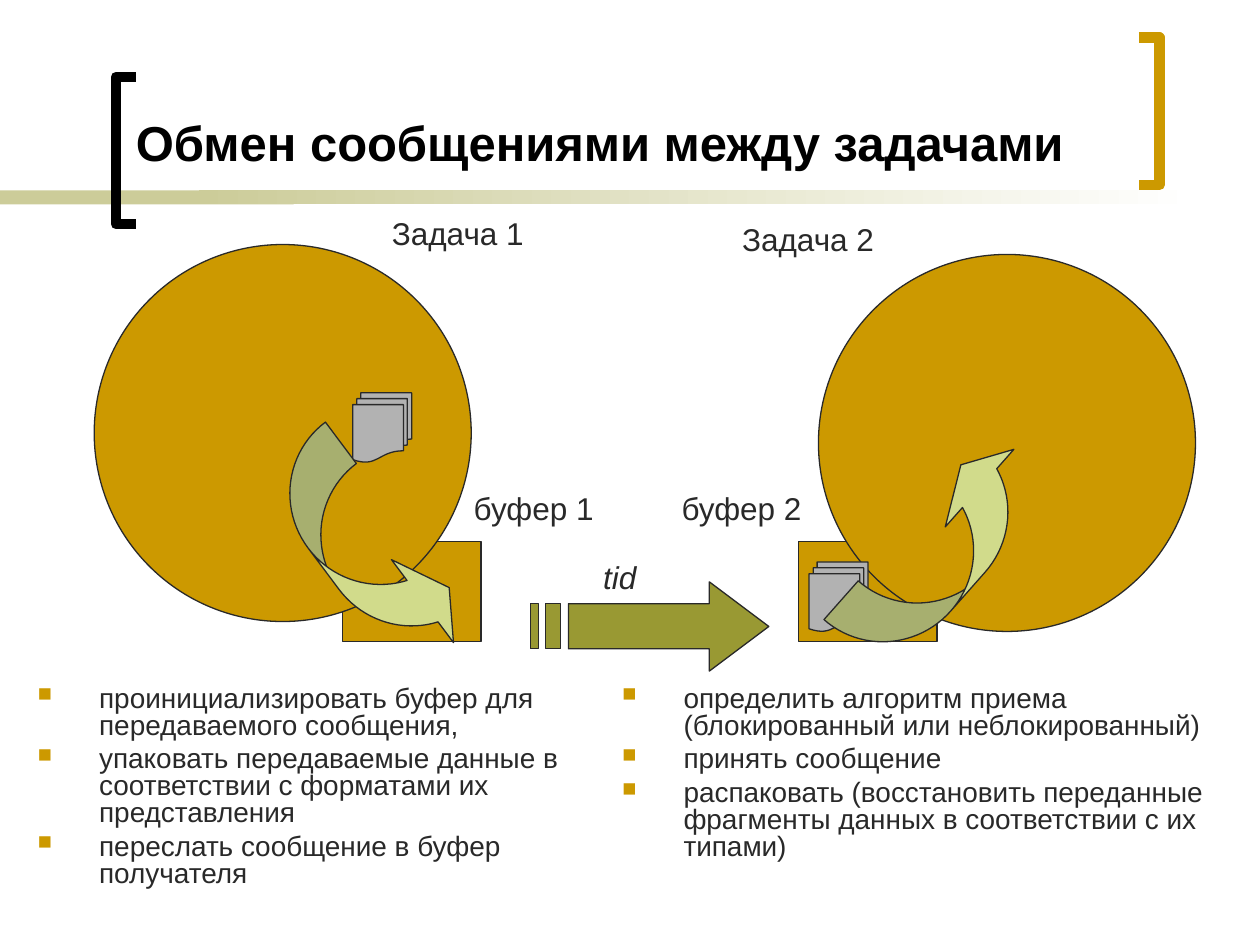
from dataclasses import dataclass

from lxml.etree import SubElement
from pptx import Presentation
from pptx.dml.color import RGBColor
from pptx.enum.shapes import MSO_SHAPE as Kind
from pptx.enum.text import MSO_ANCHOR as Anchor, MSO_AUTO_SIZE as Fit
from pptx.oxml.ns import qn
from pptx.shapes.autoshape import Shape
from pptx.slide import Slide
from pptx.text.text import TextFrame, _Paragraph as Para
from pptx.util import Cm, Pt

FONT = "Arial"
INK, GOLD, SAND = "292929", "CC9900", "CCCC99"
OLIVE, LIME, GREY = "999933", "D1DB8B", "B2B2B2"
BLACK, WHITE = "000000", "FFFFFF"


@dataclass
class Box:
    x: float
    y: float
    w: float
    h: float

    def cm(self) -> tuple:
        return Cm(self.x), Cm(self.y), Cm(self.w), Cm(self.h)


@dataclass
class Item:
    kind: Kind
    box: Box
    fill: str
    turn: float = 0
    adj: tuple = ()


@dataclass
class Label:
    text: str
    box: Box
    slant: bool = False


@dataclass
class Steps:
    box: Box
    lines: tuple


BUFS = [Item(Kind.RECTANGLE, Box(x, 10.92, 2.79, 2.01), GOLD) for x in (16.1, 6.91)]
TASKS = [Item(Kind.OVAL, Box(x, y, 7.6, 7.6), GOLD) for x, y in ((1.9, 4.93), (16.5, 5.13))]
DOCS = [Item(Kind.FLOWCHART_MULTIDOCUMENT, Box(x, y, 1.19, 1.4), GREY)
        for x, y in ((7.11, 7.92), (16.31, 11.33))]
BENDS = [Item(Kind.CURVED_RIGHT_ARROW, Box(x, 8.53, 1.8, 5.21), LIME, turn, (0.58, 1.16, 0.33))
         for x, turn in ((6.5, 323.2), (18.11, 221.5))]

LABELS = [
    Label("Задача 1", Box(7.65, 4.19, 3.18, 1.02)),
    Label("Задача 2", Box(14.71, 4.32, 3.18, 1.02)),
    Label("буфер 1", Box(9.3, 9.73, 2.95, 1.02)),
    Label("буфер 2", Box(13.49, 9.73, 2.95, 1.02)),
    Label("tid", Box(11.91, 11.13, 1.17, 1.02), True),
]

STEPS = [
    Steps(Box(0.51, 13.72, 11.2, 4.83), (
        "проинициализировать буфер для передаваемого сообщения,",
        "упаковать передаваемые данные в соответствии с форматами их представления",
        "переслать сообщение в буфер получателя",
    )),
    Steps(Box(12.29, 13.72, 12.6, 4.8), (
        "определить алгоритм приема (блокированный или неблокированный)",
        "принять сообщение",
        "распаковать (восстановить переданные фрагменты данных в соответствии с их типами)",
    )),
]


def color(code: str) -> RGBColor:
    return RGBColor.from_string(code)


def paint(shape: Shape, fill: str) -> None:
    shape.shadow.inherit = False
    shape.fill.solid()
    shape.fill.fore_color.rgb = color(fill)
    shape.line.color.rgb = color(INK)
    shape.line.width = Pt(0.75)


def draw(slide: Slide, item: Item) -> None:
    shape = slide.shapes.add_shape(item.kind, *item.box.cm())
    paint(shape, item.fill)
    shape.rotation = item.turn
    for i, part in enumerate(item.adj):
        shape.adjustments[i] = part


def outline(slide: Slide, *loops: list, close: bool = True) -> Shape:
    """Make one freeform from one or more point lists in cm."""
    pts = [[(Cm(x), Cm(y)) for x, y in loop] for loop in loops]
    form = slide.shapes.build_freeform(*pts[0][0])
    for i, loop in enumerate(pts):
        if i:
            form.move_to(*loop[0])
        form.add_line_segments(loop[1:], close=close)
    return form.convert_to_shape()


def bracket(slide: Slide, tip: float, back: float, top: float, code: str) -> None:
    low = top + 2.97
    shape = outline(slide, [(tip, top), (back, top), (back, low), (tip, low)], close=False)
    shape.shadow.inherit = False
    shape.fill.background()
    shape.line.color.rgb = color(code)
    shape.line.width = Pt(6)


def band(slide: Slide) -> None:
    """Draw the rule under the title: a flat part, then a fade to white."""
    flat, fade = (slide.shapes.add_shape(Kind.RECTANGLE, *Box(x, 3.84, w, 0.28).cm())
                  for x, w in ((0, 5.92), (4.01, 20.12)))
    for bar in (flat, fade):
        paint(bar, SAND)
        bar.line.fill.background()
    fade.fill.gradient()
    fade.fill.gradient_angle = 0
    for stop, code in zip(fade.fill.gradient_stops, (SAND, WHITE)):
        stop.color.rgb = color(code)


def frame(slide: Slide, box: Box, wrap: bool = True) -> TextFrame:
    text = slide.shapes.add_textbox(*box.cm()).text_frame
    text.word_wrap = wrap
    return text


def write(para: Para, text: str, size: int, code: str = INK,
          bold: bool = False, slant: bool = False) -> None:
    run = para.add_run()
    run.text = text
    font = run.font
    font.name, font.size = FONT, Pt(size)
    font.bold, font.italic = bold, slant
    font.color.rgb = color(code)


def bullet(para: Para) -> None:
    props = para._p.get_or_add_pPr()
    props.set("marL", str(Cm(1.24)))
    props.set("indent", str(Cm(-1.24)))
    tint = SubElement(props, qn("a:buClr"))
    SubElement(tint, qn("a:srgbClr"), val=GOLD)
    SubElement(props, qn("a:buSzPct"), val="70000")
    SubElement(props, qn("a:buChar"), char="■")


def listing(slide: Slide, steps: Steps) -> None:
    text = frame(slide, steps.box)
    for i, line in enumerate(steps.lines):
        para = text.add_paragraph() if i else text.paragraphs[0]
        bullet(para)
        para.line_spacing = 0.8
        para.space_before = Pt(4 if i else 0)
        write(para, line, 16)


def caption(slide: Slide, label: Label) -> None:
    text = frame(slide, label.box, wrap=False)
    text.auto_size = Fit.SHAPE_TO_FIT_TEXT
    write(text.paragraphs[0], label.text, 18, slant=label.slant)


def arrow(slide: Slide) -> None:
    top, low = 12.17, 13.08
    bars = [[(a, top), (b, top), (b, low), (a, low)] for a, b in ((10.69, 10.85), (11, 11.3))]
    neck = 14.3
    head = [(11.46, top), (neck, top), (neck, 11.73), (15.5, 12.63),
            (neck, 13.53), (neck, low), (11.46, low)]
    paint(outline(slide, head, *bars), OLIVE)


def main() -> None:
    deck = Presentation()
    deck.slide_width, deck.slide_height = Cm(25.4), Cm(19.05)
    slide = deck.slides.add_slide(deck.slide_layouts[6])

    band(slide)
    bracket(slide, 2.74, 2.34, 1.55, BLACK)
    bracket(slide, 22.96, 23.37, 0.76, GOLD)
    title = frame(slide, Box(2.49, 1.32, 19.89, 2.26))
    title.vertical_anchor = Anchor.BOTTOM
    write(title.paragraphs[0], "Обмен сообщениями между задачами", 28, BLACK, bold=True)

    for item in BUFS + TASKS + DOCS + BENDS:
        draw(slide, item)
    arrow(slide)
    for label in LABELS:
        caption(slide, label)
    for steps in STEPS:
        listing(slide, steps)
    deck.save("out.pptx")


if __name__ == "__main__":
    main()
